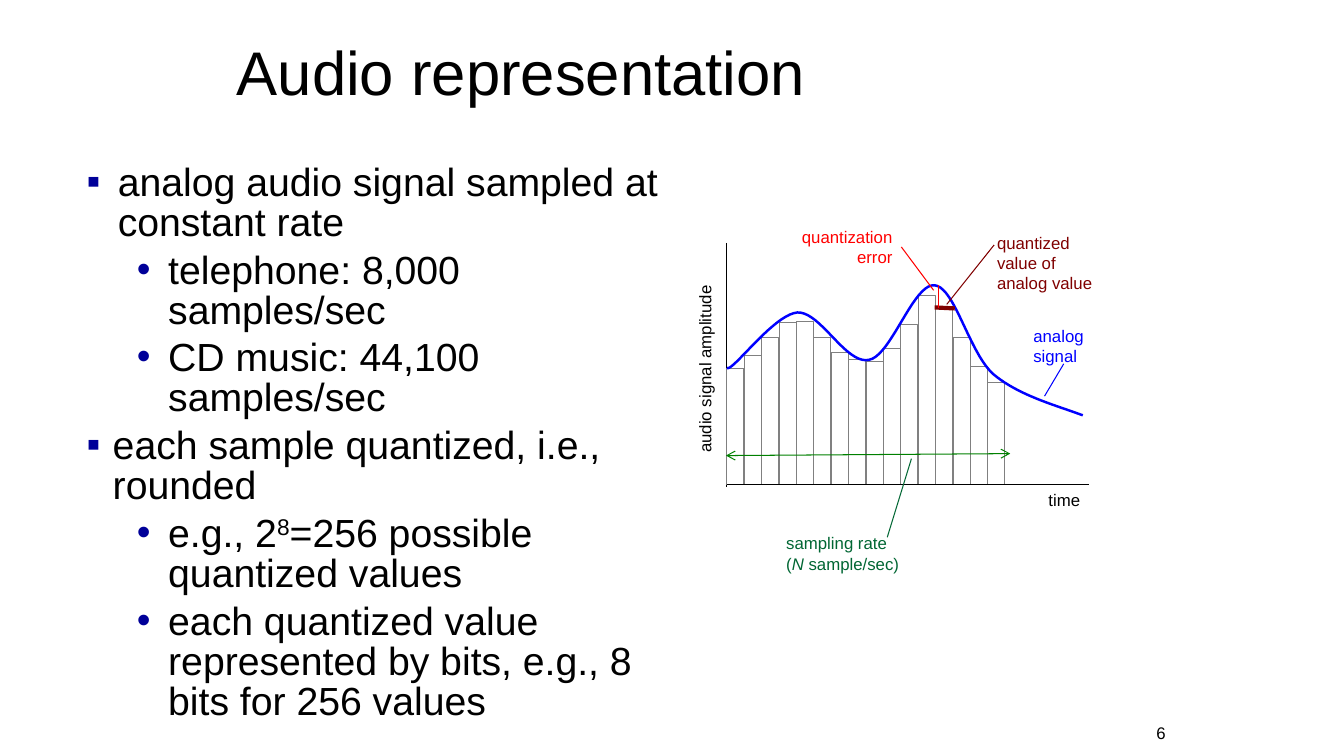
from itertools import pairwise

from lxml import etree
from pptx import Presentation
from pptx.dml.color import RGBColor
from pptx.enum import shapes, text
from pptx.oxml import ns
from pptx import util as u

# The grid is 13.33 columns by 7.5 rows; one cell is one inch square.
COLS, ROWS = 13.33, 7.5
CELL = u.Inches(1)
INK = dict(black="000000", navy="000099", grey="808080", blue="0000FF",
           maroon="800000", red="FF0000", green="008000", pine="006633")

POINTS = [
    (0, 0.31, ["analog audio signal sampled at constant rate"]),
    (1, 0.31, ["telephone: 8,000 samples/sec"]),
    (1, 0.31, ["CD music: 44,100 samples/sec"]),
    (0, 0.26, ["each sample quantized, i.e., rounded"]),
    (1, 0.31, ["e.g., 2", ("8", "super"), "=256 possible quantized values"]),
    (1, 0.31, ["each quantized value represented by bits, e.g., 8 bits for 256 values"]),
]
LEFT, BASE, STEP = 7.21, 4.81, 0.17
TOPS = [3.66, 3.53, 3.35, 3.2, 3.19, 3.35, 3.5, 3.57,
        3.59, 3.46, 3.22, 2.93, 3.06, 3.35, 3.64, 3.79]
SPAN = 2.76  # width of all the bars together
# Knots of the wave, each with the handles before and after it.
WAVE = [
    (None, (7.21, 3.65), (7.26, 3.7)),
    ((7.67, 3.12), (7.91, 3.1), (8.14, 3.09)),
    ((8.39, 3.62), (8.62, 3.57), (8.84, 3.53)),
    ((9.06, 2.81), (9.27, 2.83), (9.47, 2.85)),
    ((9.61, 3.49), (9.85, 3.71), (10.1, 3.92)),
    ((10.44, 4.01), (10.74, 4.12), None),
]


def grid(*cells):
    return [round(c * CELL) for c in cells]


def rgb(ink):
    return RGBColor.from_string(INK[ink])


def assign(item, **values):
    for name, value in values.items():
        setattr(item, name, value)


def sub(node, tag, **attrs):
    return etree.SubElement(node, ns.qn(tag), attrs)


def write(para, parts, size, ink):
    """Add runs; a part is a string or a (string, style) pair."""
    for part in parts:
        words, style = (part, "") if isinstance(part, str) else part
        run = para.add_run()
        run.text = words
        assign(run.font, name="Arial", size=u.Pt(size))
        run.font.color.rgb = rgb(ink)
        if style == "italic":
            run.font.italic = True
        if style == "super":
            run.font._element.set("baseline", "30000")


def frame(on, at, **look):
    box = on.shapes.add_textbox(*grid(*at))
    assign(box.text_frame, **{"word_wrap": True, **look})
    return box


def label(on, at, lines, ink="black", size=12, align=text.PP_ALIGN.LEFT,
          spacing=None, turn=0, **look):
    box = frame(on, at, **look)
    box.rotation = turn
    body = box.text_frame
    for i, parts in enumerate(lines):
        para = body.add_paragraph() if i else body.paragraphs[0]
        assign(para, alignment=align, line_spacing=spacing)
        write(para, parts, size, ink)


def bullets(on, at):
    body = frame(on, at).text_frame
    for i, (level, hang, parts) in enumerate(POINTS):
        para = body.add_paragraph() if i else body.paragraphs[0]
        assign(para, level=level, line_spacing=0.85,
               space_before=u.Pt(5.6 if i else 0))
        props = para._p.get_or_add_pPr()
        left, dent = grid(hang + level / 2, -hang)
        props.set("marL", str(left))
        props.set("indent", str(dent))
        sub(sub(props, "a:buClr"), "a:srgbClr", val=INK["navy"])
        sub(props, "a:buFont", typeface="Arial")
        sub(props, "a:buChar", char="▪•"[level])
        write(para, parts, 28, "black")


def stroke(shape, ink, width):
    shape.line.color.rgb = rgb(ink)
    shape.line.width = u.Pt(width)


def line(on, start, end, ink="black", width=0.75, arrows=False):
    link = on.shapes.add_connector(shapes.MSO_CONNECTOR.STRAIGHT,
                                   *grid(*start, *end))
    stroke(link, ink, width)
    if arrows:
        for tag in ("a:headEnd", "a:tailEnd"):
            sub(link.line._get_or_add_ln(), tag, type="arrow")
    sub(link._element.spPr, "a:effectLst")


def bars(on):
    pitch = SPAN / len(TOPS)
    for i, top in enumerate(TOPS):
        bar = on.shapes.add_shape(
            shapes.MSO_SHAPE.RECTANGLE,
            *grid(LEFT + i * pitch, top, STEP, BASE - top))
        bar.shadow.inherit = False
        bar.fill.background()
        stroke(bar, "grey", 0.75)


def bezier(t, *knots):
    """Point at share t of a cubic curve."""
    while len(knots) > 1:
        knots = [tuple(a + (b - a) * t for a, b in zip(p, q))
                 for p, q in pairwise(knots)]
    return knots[0]


def wave(on, steps=20):
    dots = [grid(*bezier(i / steps, a, out, into, b))
            for (_, a, out), (into, b, _) in pairwise(WAVE)
            for i in range(1, steps + 1)]
    pen = on.shapes.build_freeform(*grid(*WAVE[0][1]))
    pen.add_line_segments(dots, close=False)
    curve = pen.convert_to_shape()
    curve.shadow.inherit = False
    curve.fill.background()
    stroke(curve, "blue", 1.75)


def plot(on):
    line(on, (LEFT, 2.41), (LEFT, 4.83))
    bars(on)
    line(on, (LEFT, BASE), (10.8, BASE))
    label(on, (10.3, BASE, 0.52, 0.3), [["time"]], word_wrap=False)
    label(on, (6.05, 3.5, 1.88, 0.3), [["audio signal amplitude"]],
          turn=270, word_wrap=False)
    label(on, (10.15, 3.18, 0.71, 0.51), [["analog"], ["signal"]], "blue",
          word_wrap=False)
    wave(on)
    line(on, (10.55, 3.61), (10.36, 3.93), "blue")


def notes(on):
    """Callouts for the quantized value, its error and the sampling rate."""
    value, error, rate = (on.shapes.add_group_shape() for _ in range(3))
    line(value, (9.27, 3.05), (9.47, 3.06), "maroon", 3)
    label(value, (9.79, 2.26, 1.28, 0.71),
          [["quantized value of"], ["analog value"]], "maroon")
    line(value, (9.86, 2.43), (9.39, 3.02), "maroon")

    label(error, (7.74, 2.2, 1.21, 0.51), [["quantization error"]], "red",
          align=text.PP_ALIGN.RIGHT)
    line(error, (9.31, 2.83), (9.31, 3.06), "red", 1)
    line(error, (8.94, 2.45), (9.26, 2.88), "red")

    line(rate, (7.2, 4.52), (10.02, 4.5), "green", arrows=True)
    label(rate, (7.7, 5.24, 1.87, 0.5),
          [["sampling rate"], ["(", ("N ", "italic"), "sample/sec)"]], "pine")
    line(rate, (8.8, 5.33), (9.04, 4.55), "pine")


def main():
    deck = Presentation()
    deck.slide_width, deck.slide_height = grid(COLS, ROWS)
    slide = deck.slides.add_slide(deck.slide_layouts[6])
    middle = text.MSO_ANCHOR.MIDDLE
    label(slide, (2.25, 0.12, 6.16, 1.25), [["Audio representation"]],
          size=44, spacing=0.9, vertical_anchor=middle)
    bullets(slide, (0.76, 1.58, 5.92, 5.69))
    plot(slide)
    notes(slide)
    label(slide, (10.91, 7.12, 0.75, 0.3), [["6"]],
          align=text.PP_ALIGN.RIGHT, vertical_anchor=middle)
    deck.save("out.pptx")


if __name__ == "__main__":
    main()
